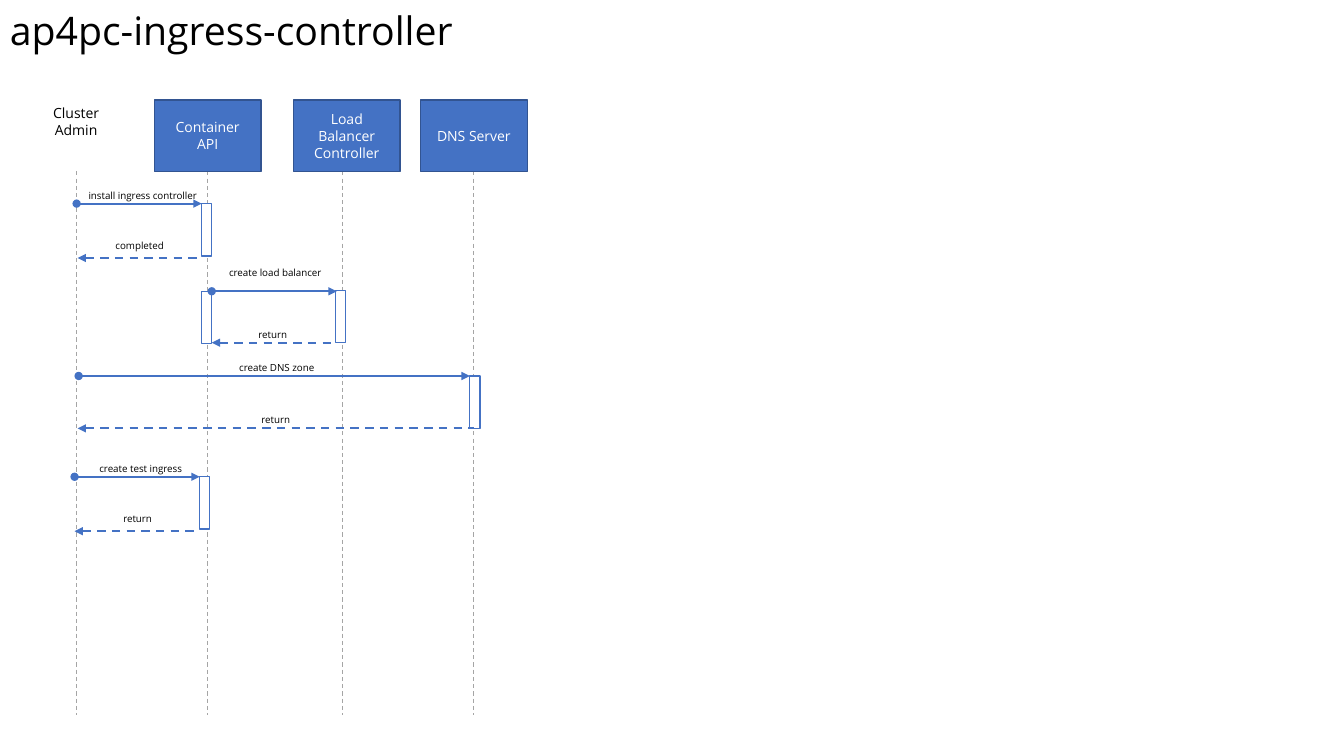
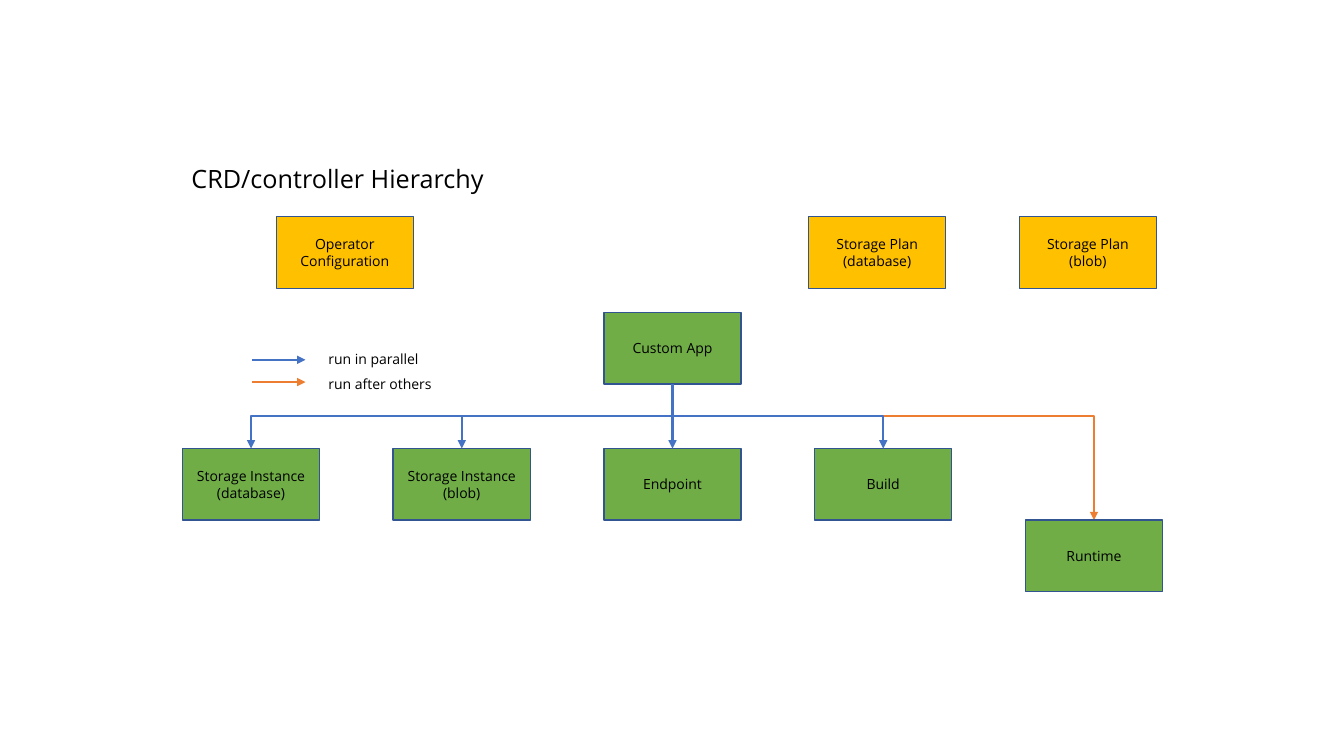
"""Build a sequence diagram and a controller hierarchy on two slides."""
from lxml.etree import SubElement
from pptx import Presentation
from pptx.dml.color import RGBColor
from pptx.enum.dml import MSO_LINE_DASH_STYLE as Dash
from pptx.enum.shapes import MSO_CONNECTOR as Connector, MSO_SHAPE as Shape
from pptx.enum.text import MSO_ANCHOR as Anchor, PP_ALIGN as Align
from pptx.oxml.ns import qn
from pptx.util import Inches, Pt

FONT = "Open Sans"
BLACK = RGBColor(0x00, 0x00, 0x00)
WHITE = RGBColor(0xFF, 0xFF, 0xFF)
BLUE = RGBColor(0x44, 0x72, 0xC4)
NAVY = RGBColor(0x32, 0x54, 0x91)
GRAY = RGBColor(0xA5, 0xA5, 0xA5)
GREEN = RGBColor(0x70, 0xAD, 0x47)
GOLD = RGBColor(0xFF, 0xC0, 0x00)
ORANGE = RGBColor(0xED, 0x7D, 0x31)


def write(shape, text, size=10, color=BLACK, align=Align.CENTER,
          anchor=Anchor.TOP, wrap=True, spacing=None):
    frame = shape.text_frame
    frame.word_wrap = wrap
    frame.vertical_anchor = anchor
    paragraph = frame.paragraphs[0]
    paragraph.alignment = align
    paragraph.line_spacing = spacing
    run = paragraph.add_run()
    run.text = text
    run.font.name = FONT
    run.font.size = Pt(size)
    run.font.color.rgb = color


class Diagram:
    def __init__(self):
        self.presentation = Presentation()
        self.presentation.slide_width = Inches(13.33)
        self.presentation.slide_height = Inches(7.5)
        self.slide = None

    def add_slide(self):
        layout = self.presentation.slide_layouts[6]
        self.slide = self.presentation.slides.add_slide(layout)

    def label(self, left, top, width, height, text, **style):
        shape = self.slide.shapes.add_textbox(
            Inches(left), Inches(top), Inches(width), Inches(height))
        write(shape, text, **style)

    def box(self, left, top, width, height, fill, line=NAVY, text=None, color=BLACK):
        shape = self.slide.shapes.add_shape(
            Shape.RECTANGLE, Inches(left), Inches(top), Inches(width), Inches(height))
        shape.shadow.inherit = False
        shape.fill.solid()
        shape.fill.fore_color.rgb = fill
        shape.line.color.rgb = line
        shape.line.width = Pt(1)
        if text:
            write(shape, text, color=color, anchor=Anchor.MIDDLE)

    def line(self, x1, y1, x2, y2, color=BLUE, width=1.5, dash=None,
             head=None, tail=None, kind=Connector.STRAIGHT):
        connector = self.slide.shapes.add_connector(
            kind, Inches(x1), Inches(y1), Inches(x2), Inches(y2))
        connector.line.color.rgb = color
        connector.line.width = Pt(width)
        if dash:
            connector.line.dash_style = dash
        outline = connector.line._get_or_add_ln()
        for tag, end in (("a:headEnd", head), ("a:tailEnd", tail)):
            if end:
                SubElement(outline, qn(tag), type=end)
        SubElement(connector._element.spPr, qn("a:effectLst"))
        return connector

    def branch(self, x1, y1, x2, y2, bend, color=BLUE):
        if x1 == x2:
            self.line(x1, y1, x2, y2, color, tail="triangle")
            return
        drop, reach = y2 - y1, abs(x2 - x1)
        left = (x1 + x2 - drop) / 2
        top = (y1 + y2 - reach) / 2
        connector = self.line(left, top, left + drop, top + reach, color,
                              tail="triangle", kind=Connector.ELBOW)
        properties = connector._element.spPr
        frame = properties.find(qn("a:xfrm"))
        frame.set("rot", "5400000" if x2 < x1 else "16200000")
        if x2 > x1:
            frame.set("flipH", "1")
        geometry = properties.find(qn("a:prstGeom"))
        guides = geometry.find(qn("a:avLst"))
        if guides is None:
            guides = SubElement(geometry, qn("a:avLst"))
        ratio = round((bend - y1) / drop * 100000)
        SubElement(guides, qn("a:gd"), name="adj1", fmla=f"val {ratio}")

    def call(self, x1, x2, y, text, left, top, width):
        self.line(x1, y, x2, y, head="oval", tail="triangle")
        self.label(left, top, width, 0.22, text, size=7)

    def reply(self, x1, x2, y, text, left, top, width):
        self.line(x1, y, x2, y, dash=Dash.DASH, head="triangle")
        self.label(left, top, width, 0.22, text, size=7)


def build_sequence(diagram):
    diagram.add_slide()
    diagram.label(0, 0, 6.05, 0.66, "ap4pc-ingress-controller", size=28,
                  align=Align.LEFT, anchor=Anchor.MIDDLE, spacing=0.9)
    for x in (4.7, 3.4, 2.06, 0.76):
        diagram.line(x, 1.7, x, 7.09, GRAY, 0.75, Dash.DASH)
    diagram.label(0.35, 0.99, 0.81, 0.44, "Cluster Admin")
    for left, name in ((1.53, "Container API"), (2.91, "Load Balancer Controller"),
                       (4.17, "DNS Server")):
        diagram.box(left, 0.99, 1.06, 0.71, BLUE, text=name, color=WHITE)
    for left, top in ((2, 2.02), (3.33, 2.88), (4.66, 3.73), (2, 2.89), (1.98, 4.73)):
        diagram.box(left, top, 0.1, 0.52, WHITE, BLUE)
    for message in (
        (0.76, 2, 2.02, "install ingress controller", 0.76, 1.83, 1.31),
        (2.1, 3.34, 2.89, "create load balancer", 2.01, 2.6, 1.44),
        (0.78, 4.66, 3.73, "create DNS zone", 0.78, 3.54, 3.93),
        (0.74, 1.98, 4.73, "create test ingress", 0.74, 4.54, 1.31),
    ):
        diagram.call(*message)
    for message in (
        (0.77, 2, 2.56, "completed", 0.74, 2.33, 1.29),
        (2.1, 3.34, 3.4, "return", 2.06, 3.21, 1.29),
        (0.77, 4.7, 4.25, "return", 0.77, 4.06, 3.93),
        (0.74, 1.98, 5.27, "return", 0.72, 5.04, 1.29),
    ):
        diagram.reply(*message)


def build_hierarchy(diagram):
    width, height, pitch = 1.36, 0.71, 2.09
    app_left, app_top, child_top, bend = 5.99, 3.1, 4.45, 4.13
    center, app_bottom = app_left + width / 2, app_top + height
    runtime_top = child_top + height

    diagram.add_slide()
    diagram.label(1.8, 1.57, 6.67, 0.4, "CRD/controller Hierarchy", size=18,
                  align=Align.LEFT)
    diagram.branch(center, app_bottom, center + 2 * pitch, runtime_top, bend, ORANGE)
    for left, name in ((2.74, "Operator Configuration"),
                       (8.02, "Storage Plan (database)"),
                       (10.11, "Storage Plan (blob)")):
        diagram.box(left, 2.15, width, height, GOLD, text=name)
    diagram.box(app_left, app_top, width, height, GREEN, text="Custom App")
    children = ("Storage Instance (database)", "Storage Instance (blob)",
                "Endpoint", "Build")
    for step, name in enumerate(children, start=-2):
        offset = step * pitch
        diagram.box(app_left + offset, child_top, width, height, GREEN, text=name)
        diagram.branch(center, app_bottom, center + offset, child_top, bend)
    diagram.box(app_left + 2 * pitch, runtime_top, width, height, GREEN, text="Runtime")
    for y, top, color, text in ((3.57, 3.43, BLUE, "run in parallel"),
                                (3.79, 3.68, ORANGE, "run after others")):
        diagram.line(2.5, y, 3.03, y, color, tail="triangle")
        diagram.label(3.16, top, 1.24, 0.27, text, align=Align.LEFT, wrap=False)


diagram = Diagram()
build_sequence(diagram)
build_hierarchy(diagram)
diagram.presentation.save("out.pptx")
